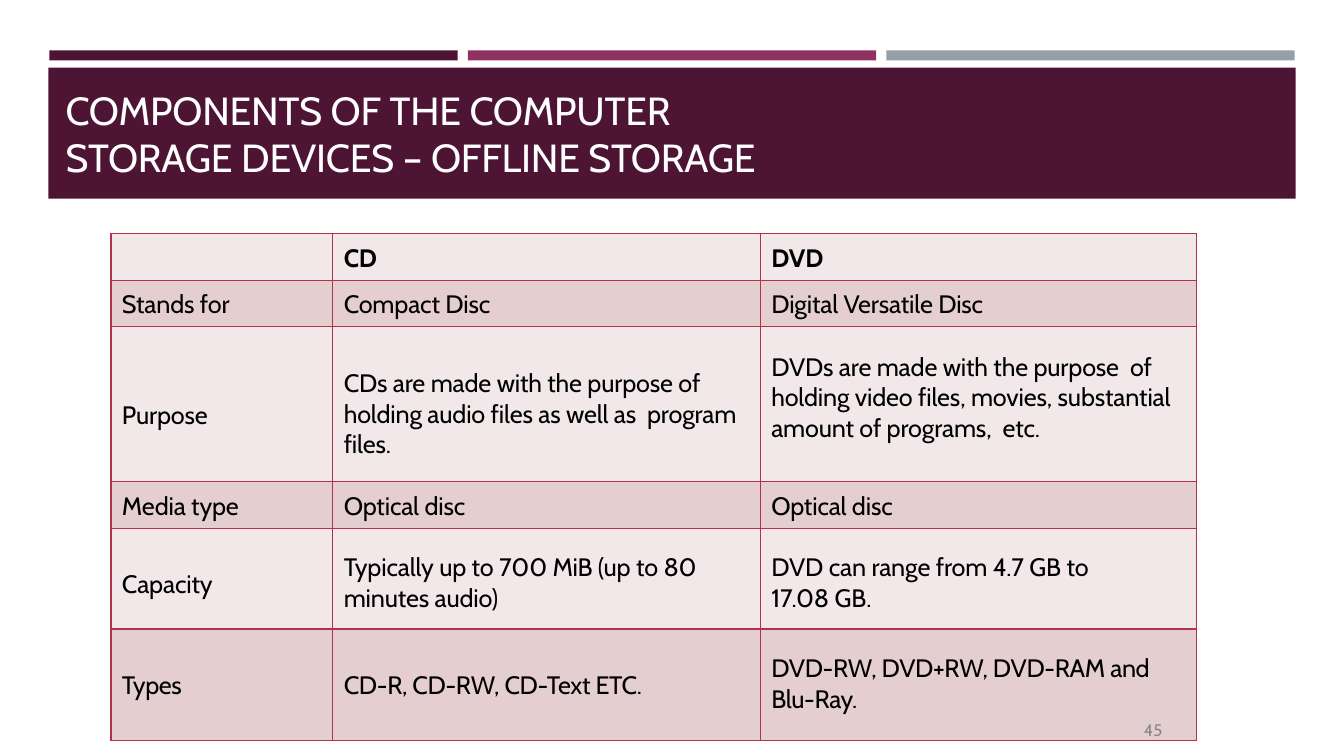
from lxml import etree
from pptx import Presentation
from pptx import util as u
from pptx.dml.color import RGBColor
from pptx.enum import shapes, text
from pptx.oxml import ns

Inches = u.Inches
FONT = "Cabin"
COLORS = {
    "plum": "4D1434",
    "magenta": "903163",
    "gray": "969FA7",
    "border": "B2324B",
    "light": "F2E8E9",
    "dark": "E4CED0",
    "white": "FFFFFF",
    "black": "000000",
    "number": "888888",
}
TITLE = "COMPONENTS OF THE COMPUTER\vSTORAGE DEVICES – OFFLINE STORAGE"
COLUMN_WIDTHS = [2.2, 4.24, 4.33]
ROWS = [
    (0.46, ["", "CD", "DVD"], [0.09, 0.09, 0.09]),
    (0.46, ["Stands for", "Compact Disc", "Digital Versatile Disc"], [0.09, 0.09, 0.09]),
    (1.54, ["Purpose",
            "CDs are made with the purpose of holding audio files as well as  program files.",
            "DVDs are made with the purpose  of holding video files, movies, "
            "substantial amount of programs,  etc."], [0.73, 0.41, 0.25]),
    (0.46, ["Media type", "Optical disc", "Optical disc"], [0.09, 0.09, 0.09]),
    (1.0, ["Capacity",
           "Typically up to 700 MiB (up to 80\nminutes audio)",
           "DVD can range from 4.7 GB to\n17.08 GB."], [0.41, 0.24, 0.24]),
    (1.1, ["Types", "CD-R, CD-RW, CD-Text ETC.",
           "DVD-RW, DVD+RW, DVD-RAM and\nBlu-Ray.\n45"], [0.41, 0.41, 0.24]),
]


def rgb(name):
    return RGBColor.from_string(COLORS[name])


def format_paragraph(p, size, color, bold=False, spacing=-0.1):
    for r in p.runs:
        r.font.name = FONT
        r.font.size = u.Pt(size)
        r.font.bold = bold
        r.font.color.rgb = rgb(color)
        r._r.get_or_add_rPr().set("spc", str(round(spacing * 100)))


def set_margins(frame, left=0, top=0, right=0, bottom=0):
    frame.margin_left = Inches(left)
    frame.margin_top = Inches(top)
    frame.margin_right = Inches(right)
    frame.margin_bottom = Inches(bottom)


def add_bar(s, left, top, width, height, color):
    sp = s.shapes.add_shape(shapes.MSO_SHAPE.RECTANGLE, Inches(left), Inches(top),
                            Inches(width), Inches(height))
    sp.shadow.inherit = False
    sp.fill.solid()
    sp.fill.fore_color.rgb = rgb(color)
    sp.line.fill.background()


def place_title(s):
    title = s.shapes.title
    s.shapes.element.append(title.element)
    title.left, title.top = Inches(0.65), Inches(0.83)
    title.width, title.height = Inches(12.05), Inches(0.96)
    tf = title.text_frame
    tf.text = TITLE
    tf.word_wrap = True
    tf.auto_size = text.MSO_AUTO_SIZE.NONE
    tf.vertical_anchor = text.MSO_ANCHOR.BOTTOM
    set_margins(tf)
    p = tf.paragraphs[0]
    p.alignment = text.PP_ALIGN.LEFT
    p.line_spacing = 1.0
    format_paragraph(p, 28, "white")


def add_borders(cell):
    props = cell._tc.get_or_add_tcPr()
    for side in ("lnL", "lnR", "lnT", "lnB"):
        line = etree.SubElement(props, ns.qn(f"a:{side}"), w=str(u.Pt(1)))
        fill = etree.SubElement(line, ns.qn("a:solidFill"))
        etree.SubElement(fill, ns.qn("a:srgbClr"), val=COLORS["border"])


def fill_cell(cell, content, top, color, bold, spacing):
    add_borders(cell)
    cell.fill.solid()
    cell.fill.fore_color.rgb = rgb(color)
    cell.vertical_anchor = text.MSO_ANCHOR.TOP
    set_margins(cell, left=0.11, top=top)
    cell.text_frame.text = content
    for p in cell.text_frame.paragraphs:
        format_paragraph(p, 18, "black", bold, spacing)


def format_page_number(cell):
    cell.margin_right = Inches(0.34)
    p = cell.text_frame.paragraphs[-1]
    p.alignment = text.PP_ALIGN.RIGHT
    p.line_spacing = u.Pt(13.3)
    p.space_before = u.Pt(5.1)
    format_paragraph(p, 12, "number", spacing=0.1)


def add_comparison_table(s):
    heights = [height for height, _, _ in ROWS]
    frame = s.shapes.add_table(len(ROWS), len(COLUMN_WIDTHS), Inches(1.1), Inches(2.32),
                               Inches(sum(COLUMN_WIDTHS)), Inches(sum(heights)))
    table = frame.table
    table.first_row = False
    table.horz_banding = False
    for column, width in zip(table.columns, COLUMN_WIDTHS):
        column.width = Inches(width)
    last = len(ROWS) - 1
    for i, (height, contents, tops) in enumerate(ROWS):
        table.rows[i].height = Inches(height)
        color = "dark" if i % 2 else "light"
        spacing = -0.25 if i == last else -0.1
        for j, (content, top) in enumerate(zip(contents, tops)):
            fill_cell(table.cell(i, j), content, top, color, i == 0, spacing)
    format_page_number(table.cell(last, len(COLUMN_WIDTHS) - 1))


def main():
    prs = Presentation()
    prs.slide_width, prs.slide_height = Inches(13.33), Inches(7.5)
    s = prs.slides.add_slide(prs.slide_layouts[5])
    for i, color in enumerate(("plum", "magenta", "gray")):
        add_bar(s, 0.49 + 4.15 * i, 0.5, 4.05, 0.1, color)
    add_bar(s, 0.48, 0.67, 12.37, 1.3, "plum")
    place_title(s)
    add_comparison_table(s)
    prs.save("out.pptx")


if __name__ == "__main__":
    main()
